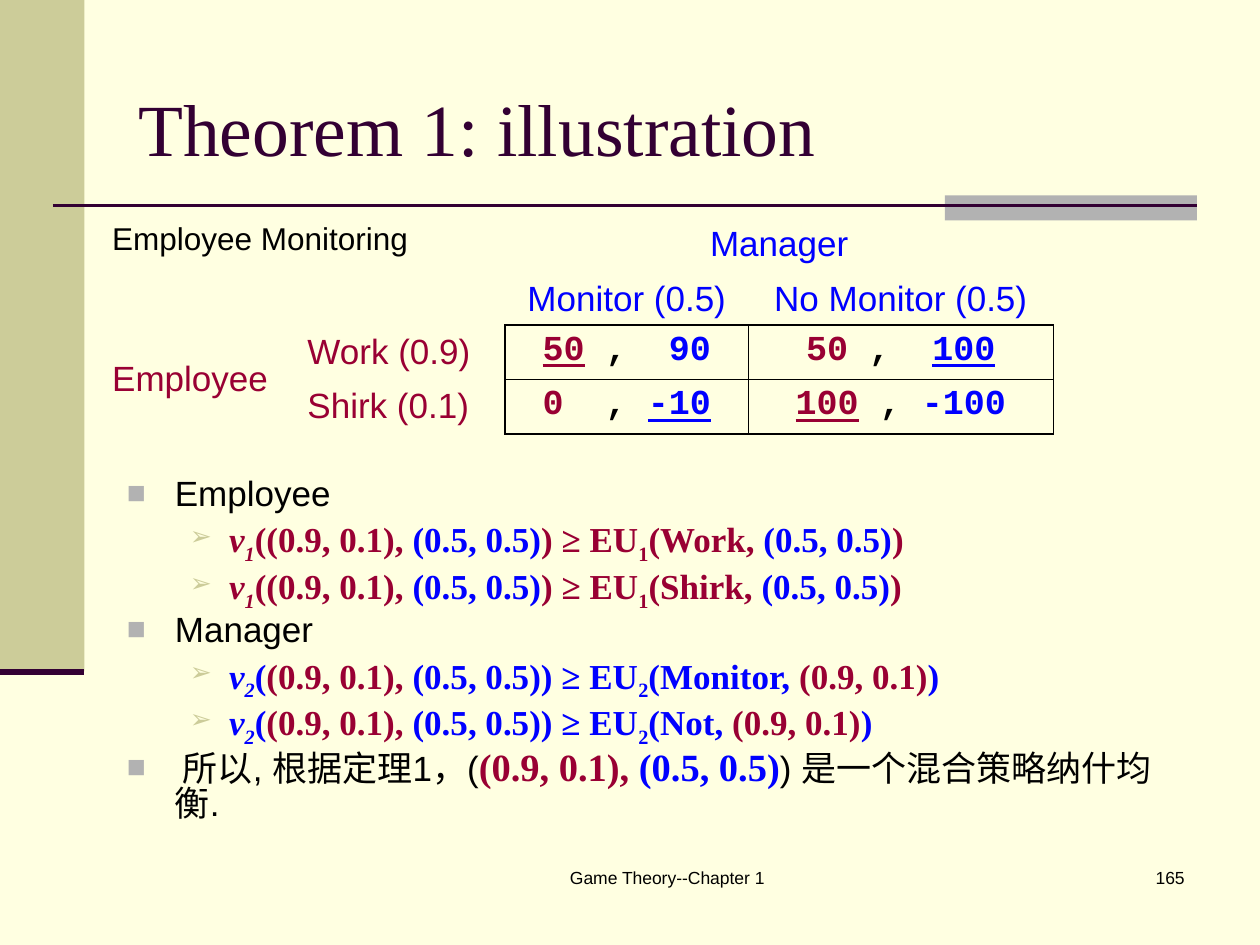
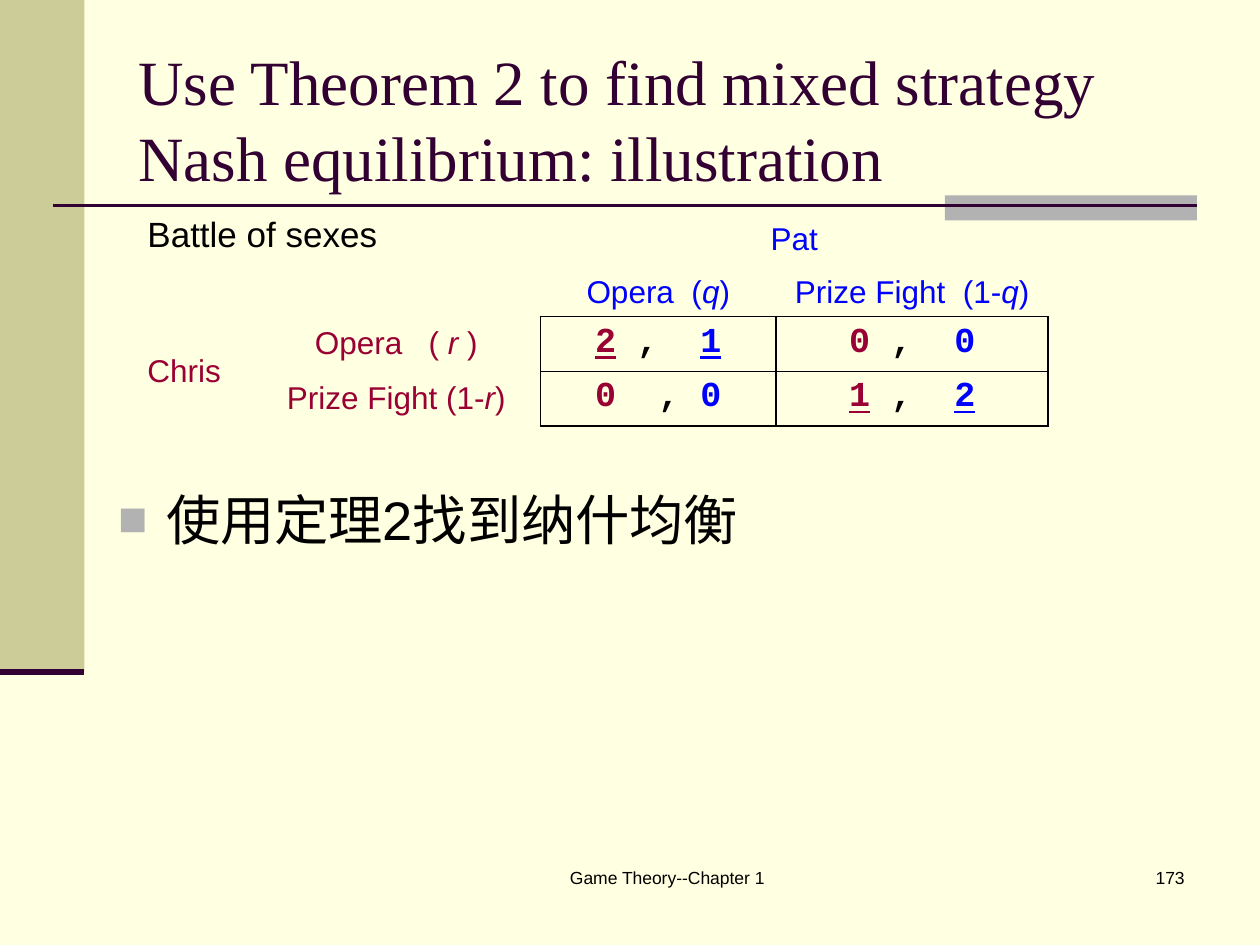
from dataclasses import dataclass, replace
from typing import Any, NamedTuple

from lxml import etree
from pptx import Presentation
from pptx.dml.color import RGBColor
from pptx.enum.shapes import MSO_CONNECTOR, MSO_SHAPE
from pptx.enum.text import MSO_ANCHOR, PP_ALIGN
from pptx.oxml.ns import qn
from pptx.util import Inches, Pt

LEFT, CENTER, RIGHT = PP_ALIGN.LEFT, PP_ALIGN.CENTER, PP_ALIGN.RIGHT
TOP, MIDDLE, BOTTOM = MSO_ANCHOR.TOP, MSO_ANCHOR.MIDDLE, MSO_ANCHOR.BOTTOM
RECTANGLE = MSO_SHAPE.RECTANGLE
STRAIGHT = MSO_CONNECTOR.STRAIGHT

COLOURS = {
    "background": "FFFFE1",
    "band": "CCCC99",
    "accent": "B2B2B2",
    "title": "330033",
    "text": "000000",
    "row_player": "990033",
    "column_player": "0000FF",
}
NO_TABLE_STYLE = "{2D5ABB26-0587-4C30-8999-92F81FD0307C}"
ROW_HEIGHTS = (0.41, 0.42, 0.42, 0.42)


@dataclass(frozen=True)
class Style:
    size: float = 20
    colour: str = "text"
    font: str = "Arial"
    bold: bool = False
    italic: bool = False
    underline: bool = False
    subscript: bool = False


class Run(NamedTuple):
    text: str
    style: Style


class Box(NamedTuple):
    left: float
    top: float
    width: float
    height: float


class Bullet(NamedTuple):
    character: str
    colour: str
    size: int
    margin: float
    hanging: float


class Item(NamedTuple):
    bullet: Bullet
    runs: list[Run]


@dataclass(frozen=True)
class Game:
    """A two-by-two game with its labels and payoffs."""
    left: float
    top: float
    widths: tuple[float, ...]
    caption: Run
    row_player: str
    column_player: str
    row_labels: list[list[Run]]
    column_labels: list[list[Run]]
    payoffs: list[list[list[Run]]]
    label_size: float
    row_alignment: Any


SQUARE = Bullet("■", "accent", 90, 0.38, 0.38)
ARROW = Bullet("➢", "band", 75, 0.81, 0.31)
FOOTER = Style(size=10)
PAYOFF = Style(font="Courier New", bold=True)
FORMULA = Style(font="Times New Roman", bold=True)
ROW_MIX, COLUMN_MIX = "(0.9, 0.1)", "(0.5, 0.5)"


# Text helpers
def write_runs(paragraph: Any, runs: list[Run]) -> None:
    for text, style in runs:
        run = paragraph.add_run()
        run.text = text
        font = run.font
        font.name, font.size = style.font, Pt(style.size)
        font.bold, font.italic, font.underline = style.bold, style.italic, style.underline
        font.color.rgb = RGBColor.from_string(COLOURS[style.colour])
        if style.subscript:
            run._r.get_or_add_rPr().set("baseline", "-25000")


def add_text_frame(slide: Any, box: Box, anchor: Any = TOP) -> Any:
    text_frame = slide.shapes.add_textbox(*map(Inches, box)).text_frame
    text_frame.word_wrap = True
    text_frame.vertical_anchor = anchor
    return text_frame


def add_text(slide: Any, box: Box, run: Run, alignment: Any = LEFT, anchor: Any = TOP) -> None:
    paragraph = add_text_frame(slide, box, anchor).paragraphs[0]
    paragraph.alignment = alignment
    write_runs(paragraph, [run])


def set_bullet(paragraph: Any, bullet: Bullet) -> None:
    properties = paragraph._p.get_or_add_pPr()
    properties.set("marL", str(Inches(bullet.margin)))
    properties.set("indent", str(-Inches(bullet.hanging)))
    colour = etree.SubElement(properties, qn("a:buClr"))
    etree.SubElement(colour, qn("a:srgbClr"), val=COLOURS[bullet.colour])
    etree.SubElement(properties, qn("a:buSzPct"), val=str(bullet.size * 1000))
    etree.SubElement(properties, qn("a:buFont"), typeface="Arial")
    etree.SubElement(properties, qn("a:buChar"), char=bullet.character)


def add_body(slide: Any, box: Box, items: list[Item], line_spacing: float) -> None:
    text_frame = add_text_frame(slide, box)
    for index, item in enumerate(items):
        paragraph = text_frame.add_paragraph() if index else text_frame.paragraphs[0]
        paragraph.line_spacing = line_spacing
        paragraph.space_before = Pt(5 if index else 0)
        set_bullet(paragraph, item.bullet)
        write_runs(paragraph, item.runs)


# Frame shared by the slides
def add_rectangle(slide: Any, box: Box, colour: str) -> None:
    shape = slide.shapes.add_shape(RECTANGLE, *map(Inches, box))
    shape.shadow.inherit = False
    shape.fill.solid()
    shape.fill.fore_color.rgb = RGBColor.from_string(COLOURS[colour])
    shape.line.fill.background()


def add_rule(slide: Any, left: float, right: float, top: float, width: float) -> None:
    rule = slide.shapes.add_connector(STRAIGHT, *map(Inches, (left, top, right, top)))
    rule.line.color.rgb = RGBColor.from_string(COLOURS["title"])
    rule.line.width = Pt(width)
    etree.SubElement(rule.element.spPr, qn("a:effectLst"))


def add_framed_slide(presentation: Any, title: str, title_size: float,
                     title_box: Box, number: int) -> Any:
    slide = presentation.slides.add_slide(presentation.slide_layouts[6])
    slide.background.fill.solid()
    slide.background.fill.fore_color.rgb = RGBColor.from_string(COLOURS["background"])
    add_rectangle(slide, Box(0, 0, 0.67, 5.33), "band")
    add_rectangle(slide, Box(7.5, 1.55, 2, 0.2), "accent")
    add_rule(slide, 0.42, 9.5, 1.63, 1.5)
    add_rule(slide, 0, 0.67, 5.33, 3.5)
    add_text(slide, Box(3.67, 6.83, 3.25, 0.5), Run("Game Theory--Chapter 1", FOOTER), CENTER)
    add_text(slide, Box(7.42, 6.83, 2.08, 0.5), Run(str(number), FOOTER), RIGHT)
    title_style = Style(title_size, "title", "Times New Roman")
    add_text(slide, title_box, Run(title, title_style), anchor=MIDDLE)
    return slide


# Game tables
def label(style: Style, *parts: str) -> list[Run]:
    """Every second part is a variable in italics."""
    return [Run(part, replace(style, italic=index % 2 == 1)) for index, part in enumerate(parts)]


def payoff(first: str, separator: str, second: str, best: str = "") -> list[Run]:
    """Underline the best responses of the row (r) and column (c) player."""
    return [
        Run(first, replace(PAYOFF, colour="row_player", underline="r" in best)),
        Run(separator, PAYOFF),
        Run(second, replace(PAYOFF, colour="column_player", underline="c" in best)),
    ]


def set_borders(cell: Any, sides: str) -> None:
    properties = cell._tc.get_or_add_tcPr()
    for side in sides:
        line = etree.SubElement(properties, qn(f"a:ln{side}"), w=str(Pt(1)))
        fill = etree.SubElement(line, qn("a:solidFill"))
        etree.SubElement(fill, qn("a:srgbClr"), val=COLOURS["text"])


def fill_cell(cell: Any, runs: list[Run], alignment: Any = LEFT, anchor: Any = TOP,
              borders: str = "") -> None:
    set_borders(cell, borders)
    cell.vertical_anchor = anchor
    paragraph = cell.text_frame.paragraphs[0]
    paragraph.alignment = alignment
    write_runs(paragraph, runs)


def add_game(slide: Any, game: Game) -> None:
    box = Box(game.left, game.top, sum(game.widths), sum(ROW_HEIGHTS))
    frame = slide.shapes.add_table(4, 4, *map(Inches, box))
    table = frame.table
    table.first_row = table.horz_banding = False
    next(frame.element.iter(qn("a:tableStyleId"))).text = NO_TABLE_STYLE
    for column, width in zip(table.columns, game.widths):
        column.width = Inches(width)
    for row, height in zip(table.rows, ROW_HEIGHTS):
        row.height = Inches(height)

    # Caption and player names
    table.cell(0, 0).merge(table.cell(0, 1))
    table.cell(0, 2).merge(table.cell(0, 3))
    table.cell(2, 0).merge(table.cell(3, 0))
    fill_cell(table.cell(0, 0), [game.caption])
    column_style = Style(game.label_size, "column_player")
    fill_cell(table.cell(0, 2), [Run(game.column_player, column_style)], CENTER, BOTTOM)
    row_style = Style(game.label_size, "row_player")
    fill_cell(table.cell(2, 0), [Run(game.row_player, row_style)], anchor=MIDDLE)

    # Strategies and payoffs
    for index in range(2):
        fill_cell(table.cell(1, index + 2), game.column_labels[index], CENTER, BOTTOM, "B")
        fill_cell(table.cell(index + 2, 1), game.row_labels[index],
                  game.row_alignment, MIDDLE, "R")
        for column, runs in enumerate(game.payoffs[index], start=2):
            fill_cell(table.cell(index + 2, column), runs, CENTER, borders="LRTB")
    for cell in table.iter_cells():
        cell.fill.background()


# Slide content
def inequality(player: int, strategy: str) -> Item:
    own, other, other_mix = (
        ("row_player", "column_player", COLUMN_MIX) if player == 1
        else ("column_player", "row_player", ROW_MIX)
    )
    style = replace(FORMULA, colour=own)
    return Item(ARROW, [
        Run("v", replace(style, italic=True)),
        Run(str(player), replace(style, italic=True, subscript=True)),
        Run("(", style),
        Run(f"{ROW_MIX}, ", replace(style, colour="row_player")),
        Run(COLUMN_MIX, replace(style, colour="column_player")),
        Run(") ≥ EU", style),
        Run(str(player), replace(style, subscript=True)),
        Run(f"({strategy}, ", style),
        Run(other_mix, replace(style, colour=other)),
        Run(")", style),
    ])


def add_monitoring_slide(presentation: Any) -> None:
    slide = add_framed_slide(presentation, "Theorem 1: illustration", 42,
                             Box(1, 0.46, 8.5, 1.09), 165)
    plain, mix = Style(), replace(FORMULA, size=22)
    add_body(slide, Box(0.91, 3.76, 8.5, 2.9), [
        Item(SQUARE, [Run("Employee", plain)]),
        inequality(1, "Work"),
        inequality(1, "Shirk"),
        Item(SQUARE, [Run("Manager", plain)]),
        inequality(2, "Monitor"),
        inequality(2, "Not"),
        Item(SQUARE, [
            Run(" 所以, 根据定理1，(", plain),
            Run(f"{ROW_MIX}, ", replace(mix, colour="row_player")),
            Run(COLUMN_MIX, replace(mix, colour="column_player")),
            Run(") 是一个混合策略纳什均衡.", plain),
        ]),
    ], 0.8)
    row, column = Style(colour="row_player"), Style(colour="column_player")
    add_game(slide, Game(
        0.79, 1.71, (1.55, 1.67, 1.93, 2.42),
        Run("Employee Monitoring", Style(18)), "Employee", "Manager",
        [label(row, "Work (0.9)"), label(row, "Shirk (0.1)")],
        [label(column, "Monitor (0.5)"), label(column, "No Monitor (0.5)")],
        [[payoff("50", " ,  ", "90", "r"), payoff("50", " ,  ", "100", "c")],
         [payoff("0 ", " , ", "-10", "c"), payoff("100", " , ", "-100", "r")]],
        20, LEFT))


def add_battle_slide(presentation: Any) -> None:
    slide = add_framed_slide(
        presentation, "Use Theorem 2 to find mixed strategy Nash equilibrium: illustration",
        36, Box(1, 0.32, 8.5, 1.24), 173)
    add_body(slide, Box(0.84, 3.81, 8.5, 2.89),
             [Item(SQUARE, [Run("使用定理2找到纳什均衡", Style(31))])], 1.0)
    row, column = Style(18, "row_player"), Style(18, "column_player")
    add_game(slide, Game(
        1.07, 1.66, (0.93, 2.29, 1.87, 2.16),
        Run("Battle of sexes", Style()), "Chris", "Pat",
        [label(row, "Opera   ( ", "r", " )"), label(row, "Prize Fight (1-", "r", ")")],
        [label(column, "Opera  (", "q", ")"), label(column, "Prize Fight  (1-", "q", ")")],
        [[payoff("2", " ,  ", "1", "rc"), payoff("0", " ,  ", "0")],
         [payoff("0 ", " , ", "0"), payoff("1", " ,  ", "2", "rc")]],
        18, CENTER))


def main() -> None:
    presentation = Presentation()
    presentation.slide_width, presentation.slide_height = Inches(10), Inches(7.5)
    add_monitoring_slide(presentation)
    add_battle_slide(presentation)
    presentation.save("out.pptx")


if __name__ == "__main__":
    main()
